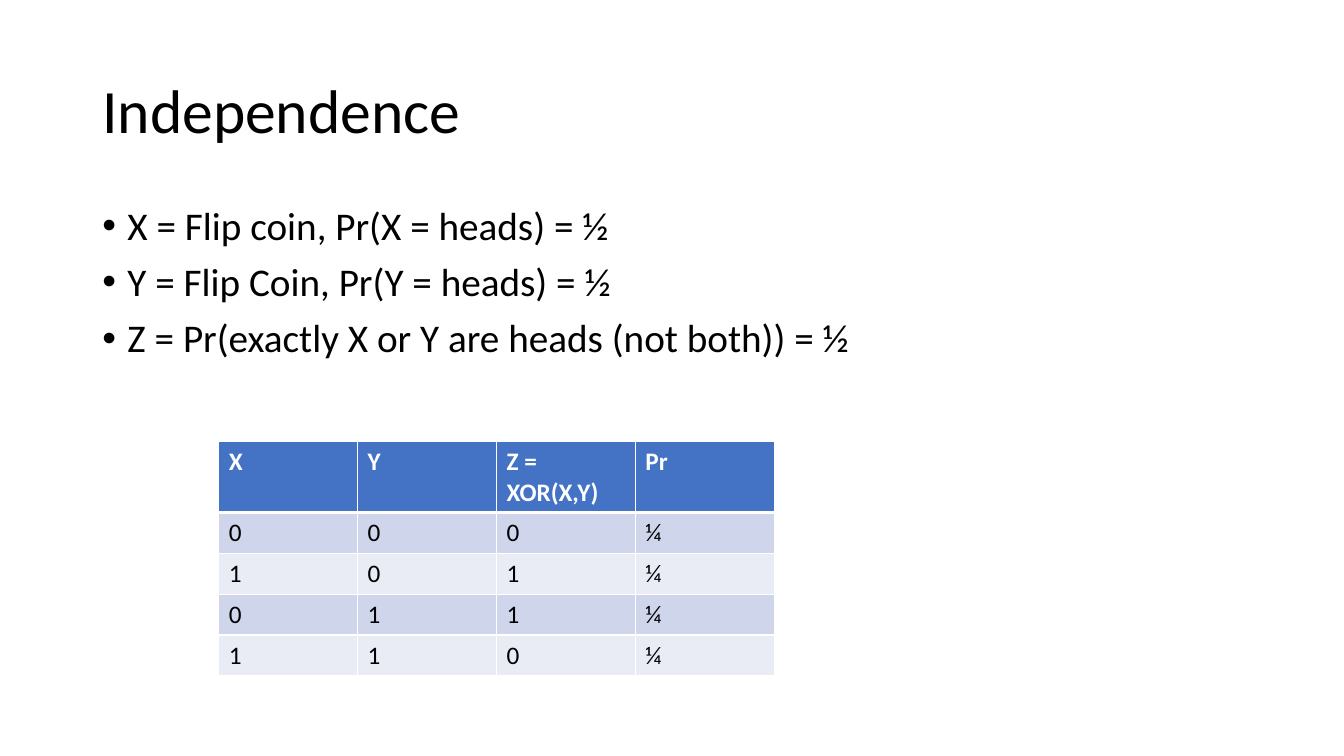
from lxml import etree
from pptx import Presentation
from pptx import util as u
from pptx.dml import color
from pptx.enum import text
from pptx.oxml import ns

FONT = "Calibri"
BLACK, WHITE, HEADER_BLUE = "000000", "FFFFFF", "4472C4"
BANDS = ["CFD5EA", "E9EBF5"]

CLAIMS = [
    "X = Flip coin, Pr(X = heads) = ½",
    "Y = Flip Coin, Pr(Y = heads) = ½",
    "Z = Pr(exactly X or Y are heads (not both)) = ½",
]
OUTCOMES = [
    ["X", "Y", "Z = XOR(X,Y)", "Pr"],
    ["0", "0", "0", "¼"],
    ["1", "0", "1", "¼"],
    ["0", "1", "1", "¼"],
    ["1", "1", "0", "¼"],
]


def rgb(hex_code):
    return color.RGBColor.from_string(hex_code)


def style(paragraph, size, hex_code, bold=False):
    for run in paragraph.runs:
        run.font.name = FONT
        run.font.size = u.Pt(size)
        run.font.bold = bold
        run.font.color.rgb = rgb(hex_code)


def add_frame(slide, box, content, anchor):
    frame = slide.shapes.add_textbox(*map(u.Pt, box)).text_frame
    frame.word_wrap = True
    frame.vertical_anchor = anchor
    frame.text = content
    for paragraph in frame.paragraphs:
        paragraph.line_spacing = 0.9
    return frame


def add_title(slide, box):
    heading = add_frame(slide, box, "Independence", text.MSO_ANCHOR.MIDDLE)
    style(heading.paragraphs[0], 44, BLACK)


def add_claims(slide, box):
    claims = add_frame(slide, box, "\n".join(CLAIMS), text.MSO_ANCHOR.TOP)
    for claim in claims.paragraphs:
        claim.space_before = u.Pt(10)
        style(claim, 28, BLACK)
        properties = claim._p.get_or_add_pPr()
        properties.set("marL", str(u.Pt(18)))
        properties.set("indent", str(u.Pt(-18)))
        etree.SubElement(properties, ns.qn("a:buFont"), typeface="Arial")
        etree.SubElement(properties, ns.qn("a:buChar"), char="•")


def add_borders(cell, bottom):
    properties = cell._tc.get_or_add_tcPr()
    for side, width in (("L", 1), ("R", 1), ("T", 1), ("B", bottom)):
        line = etree.SubElement(properties, ns.qn(f"a:ln{side}"), w=str(u.Pt(width)))
        fill = etree.SubElement(line, ns.qn("a:solidFill"))
        etree.SubElement(fill, ns.qn("a:srgbClr"), val=WHITE)


def add_outcomes(slide, box, header_height):
    left, top, width, height = box
    outcomes = slide.shapes.add_table(
        len(OUTCOMES), len(OUTCOMES[0]), *map(u.Pt, box)).table
    row_height = (height - header_height) / (len(OUTCOMES) - 1)
    for r, values in enumerate(OUTCOMES):
        is_header = r == 0
        outcomes.rows[r].height = u.Pt(header_height if is_header else row_height)
        for c, value in enumerate(values):
            cell = outcomes.cell(r, c)
            cell.text = value
            style(cell.text_frame.paragraphs[0], 18,
                  WHITE if is_header else BLACK, is_header)
            add_borders(cell, 3 if is_header else 1)
            cell.fill.solid()
            cell.fill.fore_color.rgb = rgb(
                HEADER_BLUE if is_header else BANDS[(r - 1) % 2])
            if r == 1:
                edge = cell._tc.tcPr.find(ns.qn("a:lnT"))
                edge.set("w", str(u.Pt(3)))


def main():
    deck = Presentation()
    deck.slide_width, deck.slide_height = u.Pt(960), u.Pt(540)
    slide = deck.slides.add_slide(deck.slide_layouts[6])
    add_title(slide, (66, 28.75, 828, 104.4))
    add_claims(slide, (66, 143.75, 828, 342.6))
    add_outcomes(slide, (156.25, 315.4, 396.8, 167.4), 50.6)
    deck.save("out.pptx")


if __name__ == "__main__":
    main()
